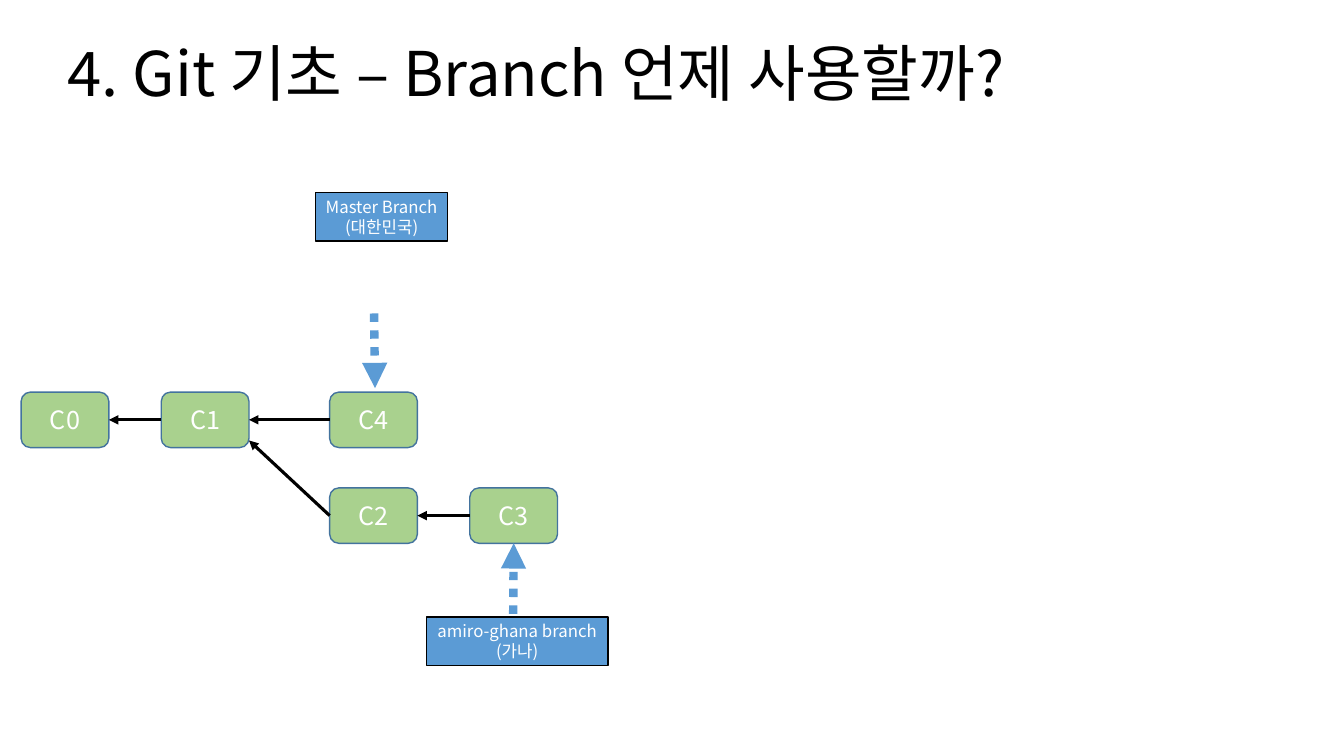
from pptx import Presentation
from pptx.dml.color import RGBColor
from pptx.enum.dml import MSO_LINE
from pptx.enum.shapes import MSO_CONNECTOR, MSO_SHAPE
from pptx.enum.text import MSO_ANCHOR, MSO_AUTO_SIZE, PP_ALIGN
from pptx.oxml.ns import qn
from pptx.util import Emu, Pt
from lxml.etree import SubElement

BLACK = RGBColor(0x00, 0x00, 0x00)
WHITE = RGBColor(0xFF, 0xFF, 0xFF)
BLUE = RGBColor(0x5B, 0x9B, 0xD5)
GREEN = RGBColor(0xA9, 0xD1, 0x8E)
EDGE = RGBColor(0x43, 0x73, 0x9E)

SCALE = 9144
LEFT, RIGHT, BOTTOM = 1, 3, 2


def px(*values):
    return [Emu(value * SCALE) for value in values]


def assign(target, values):
    for name, value in values.items():
        setattr(target, name, value)


class Board:
    font = "Noto Sans CJK KR"

    def __init__(self, slide):
        self.slide = slide

    def label(self, shape, text, size, color, align):
        frame = shape.text_frame
        frame.text = text
        assign(frame, {
            "word_wrap": True,
            "auto_size": MSO_AUTO_SIZE.NONE,
            "vertical_anchor": MSO_ANCHOR.MIDDLE,
        })
        for part in frame.paragraphs:
            part.alignment = align
            for run in part.runs:
                assign(run.font, {"name": self.font, "size": Pt(size)})
                run.font.color.rgb = color
                SubElement(run.font._element, qn("a:ea"), typeface=self.font)
        return frame

    def title(self, text, *box):
        shape = self.slide.shapes.title
        assign(shape, dict(zip(("left", "top", "width", "height"), px(*box))))
        frame = self.label(shape, text, 44, BLACK, PP_ALIGN.LEFT)
        frame.paragraphs[0].line_spacing = 0.9

    def box(self, kind, text, size, fill, edge, *place):
        shape = self.slide.shapes.add_shape(kind, *px(*place))
        shape.shadow.inherit = False
        shape.fill.solid()
        shape.fill.fore_color.rgb = fill
        shape.line.color.rgb = edge
        shape.line.width = Pt(1)
        frame = self.label(shape, text, size, WHITE, PP_ALIGN.CENTER)
        side = Emu(5 * SCALE)
        assign(frame, {"margin_left": side, "margin_right": side})
        return shape

    def commit(self, text, left, top):
        return self.box(MSO_SHAPE.ROUNDED_RECTANGLE, text, 18, GREEN, EDGE,
                        left, top, 87, 55)

    def branch(self, text, left, top, width):
        return self.box(MSO_SHAPE.RECTANGLE, text, 12, BLUE, BLACK,
                        left, top, width, 48)

    def arrow(self, start=(0, 0), end=(0, 0), tail=None, head=None,
              color=BLACK, width=2.25, dash=None):
        link = self.slide.shapes.add_connector(
            MSO_CONNECTOR.STRAIGHT, *px(*start, *end))
        if tail:
            link.begin_connect(*tail)
        if head:
            link.end_connect(*head)
        link.line.color.rgb = color
        assign(link.line, {"width": Pt(width), "dash_style": dash})
        frame = link.element.spPr
        SubElement(frame.find(qn("a:ln")), qn("a:tailEnd"), type="triangle")
        SubElement(frame, qn("a:effectLst"))

    def pointer(self, start, end=(0, 0), head=None):
        self.arrow(start, end, head=head, color=BLUE, width=6,
                   dash=MSO_LINE.ROUND_DOT)


def main():
    deck = Presentation()
    assign(deck, dict(zip(("slide_width", "slide_height"), px(1333, 750))))
    board = Board(deck.slides.add_slide(deck.slide_layouts[5]))
    board.title("4. Git 기초 – Branch 언제 사용할까?", 57, 3, 1150, 145)

    board.branch("Master Branch\v(대한민국)", 313, 191, 131)
    board.branch("amiro-ghana branch\v(가나)", 423, 612, 180)

    upper, lower = 389, 484
    places = {"C0": (21, upper), "C1": (160, upper), "C2": (327, lower),
              "C3": (466, lower), "C4": (327, upper)}
    nodes = {name: board.commit(name, *spot) for name, spot in places.items()}

    for child, parent in (("C1", "C0"), ("C3", "C2"), ("C4", "C1")):
        board.arrow(tail=(nodes[child], LEFT), head=(nodes[parent], RIGHT))
    board.arrow(end=(247, 437), tail=(nodes["C2"], LEFT))

    board.pointer((371, 311), (372, 385))
    board.pointer((509, 609), head=(nodes["C3"], BOTTOM))
    deck.save("out.pptx")


if __name__ == "__main__":
    main()
